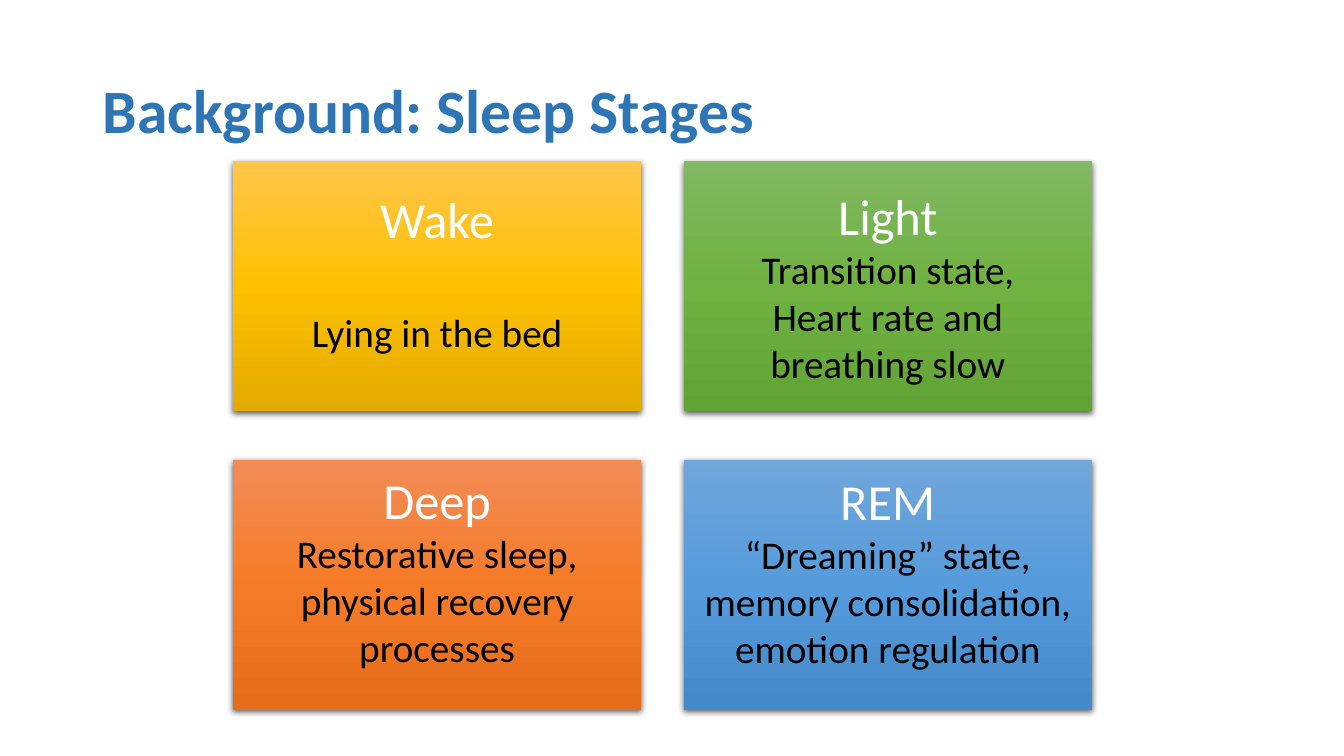
import copy

import lxml.etree
import pptx
import pptx.dml.color
import pptx.enum.shapes
import pptx.enum.text
import pptx.oxml.ns
import pptx.util

TITLE = "Background: Sleep Stages"
# name, description lines, gradient, gap below name (pt), bottom inset (in)
STAGES = [
    ("Wake", ["Lying in the bed"], ["FFC64B", "FFC000", "E3AB00"], 43, 0.34),
    ("Light", ["Transition state,", "Heart rate and breathing slow"],
     ["81B861", "6FB242", "62A336"], 0, 0.06),
    ("Deep", ["Restorative sleep, physical recovery processes"],
     ["F18C57", "F67B28", "E56C19"], 0, 0.35),
    ("REM", ["“Dreaming” state, memory consolidation, emotion regulation"],
     ["71A6DB", "559BDB", "448ACA"], 0, 0.33),
]
COLUMNS = 2
GRID_LEFT, GRID_TOP = 2.31, 1.6
CARD_WIDTH, CARD_HEIGHT = 4.05, 2.48
COLUMN_STEP, ROW_STEP = 4.47, 2.96


def color(hex_value):
    return pptx.dml.color.RGBColor.from_string(hex_value)


def inches(*lengths):
    return [pptx.util.Inches(length) for length in lengths]


def write(paragraph, text, size, hex_value, bold=False, align="LEFT", gap=0, spacing=1.0):
    paragraph.alignment = getattr(pptx.enum.text.PP_ALIGN, align)
    paragraph.space_after = pptx.util.Pt(gap)
    paragraph.line_spacing = spacing
    run = paragraph.add_run()
    run.text = text
    run.font.name = "Calibri"
    run.font.size = pptx.util.Pt(size)
    run.font.bold = bold
    run.font.color.rgb = color(hex_value)


def fill_gradient(shape, hex_values):
    """Fill from top to bottom with three evenly spaced colours."""
    shape.fill.gradient()
    shape.fill.gradient_angle = 270
    stop_list = shape.element.spPr.find(".//" + pptx.oxml.ns.qn("a:gsLst"))
    stop_list.insert(1, copy.deepcopy(stop_list[0]))
    for index, (stop, hex_value) in enumerate(zip(shape.fill.gradient_stops, hex_values)):
        stop.position = index / 2
        stop.color.rgb = color(hex_value)


def add_shadow(shape):
    shape.shadow.inherit = False
    qn = pptx.oxml.ns.qn
    effects = shape.element.spPr.find(qn("a:effectLst"))
    shadow = lxml.etree.SubElement(
        effects, qn("a:outerShdw"), blurRad=str(pptx.util.Pt(4.5)),
        dist=str(pptx.util.Pt(1.5)), dir="5400000", algn="ctr", rotWithShape="0")
    shade = lxml.etree.SubElement(shadow, qn("a:srgbClr"), val="000000")
    lxml.etree.SubElement(shade, qn("a:alpha"), val="63000")


def add_card(slide, index, stage):
    name, lines, gradient, gap, bottom_inset = stage
    row, column = divmod(index, COLUMNS)
    card = slide.shapes.add_shape(
        pptx.enum.shapes.MSO_SHAPE.RECTANGLE,
        *inches(GRID_LEFT + column * COLUMN_STEP, GRID_TOP + row * ROW_STEP,
                CARD_WIDTH, CARD_HEIGHT))
    fill_gradient(card, gradient)
    card.line.fill.background()
    add_shadow(card)
    frame = card.text_frame
    frame.word_wrap = True
    frame.vertical_anchor = pptx.enum.text.MSO_ANCHOR.MIDDLE
    frame.margin_bottom = pptx.util.Inches(bottom_inset)
    write(frame.paragraphs[0], name, 36, "FFFFFF", align="CENTER", gap=gap)
    for line in lines:
        write(frame.add_paragraph(), line, 28, "000000", align="CENTER")


def main():
    presentation = pptx.Presentation()
    presentation.slide_width, presentation.slide_height = inches(13.33, 7.5)
    slide = presentation.slides.add_slide(presentation.slide_layouts[6])
    title = slide.shapes.add_textbox(*inches(0.92, 0.4, 11.5, 1.45))
    title.text_frame.word_wrap = True
    title.text_frame.vertical_anchor = pptx.enum.text.MSO_ANCHOR.MIDDLE
    write(title.text_frame.paragraphs[0], TITLE, 44, "2E75B6", bold=True, spacing=0.9)
    for index, stage in enumerate(STAGES):
        add_card(slide, index, stage)
    presentation.save("out.pptx")


if __name__ == "__main__":
    main()
